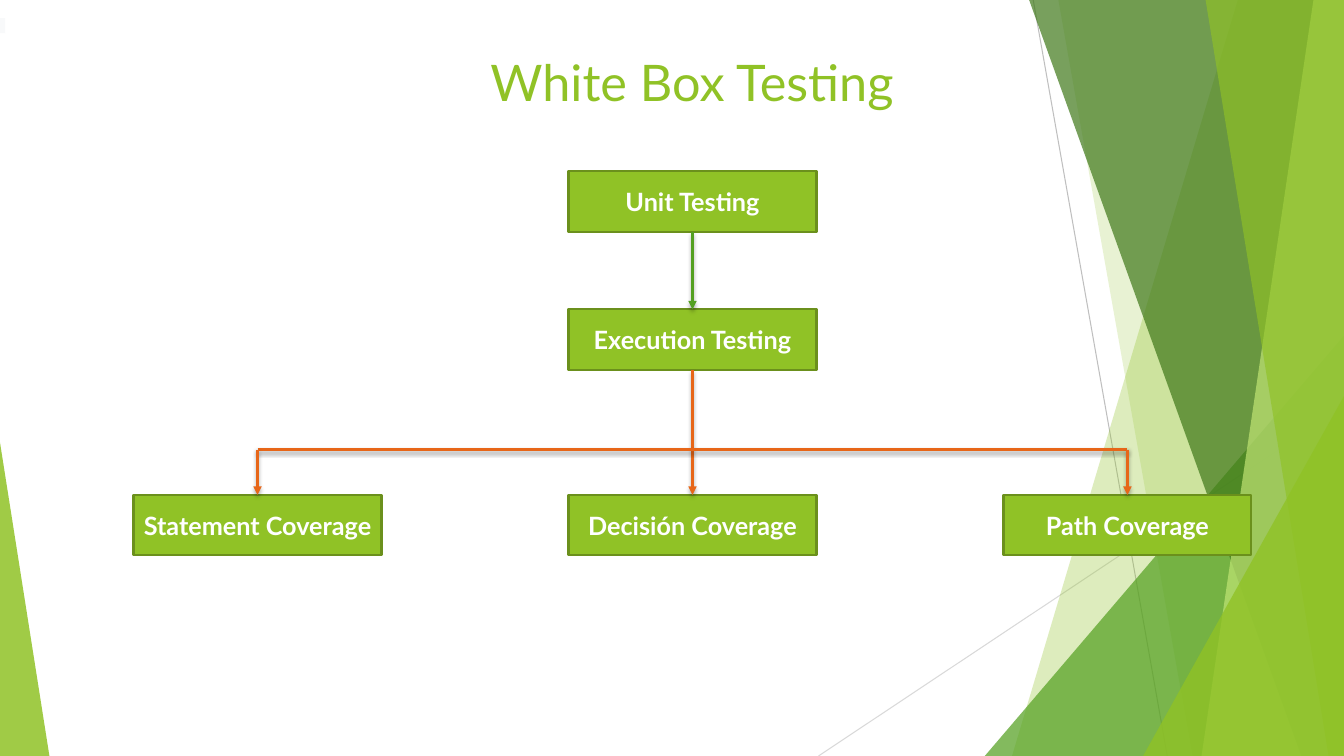
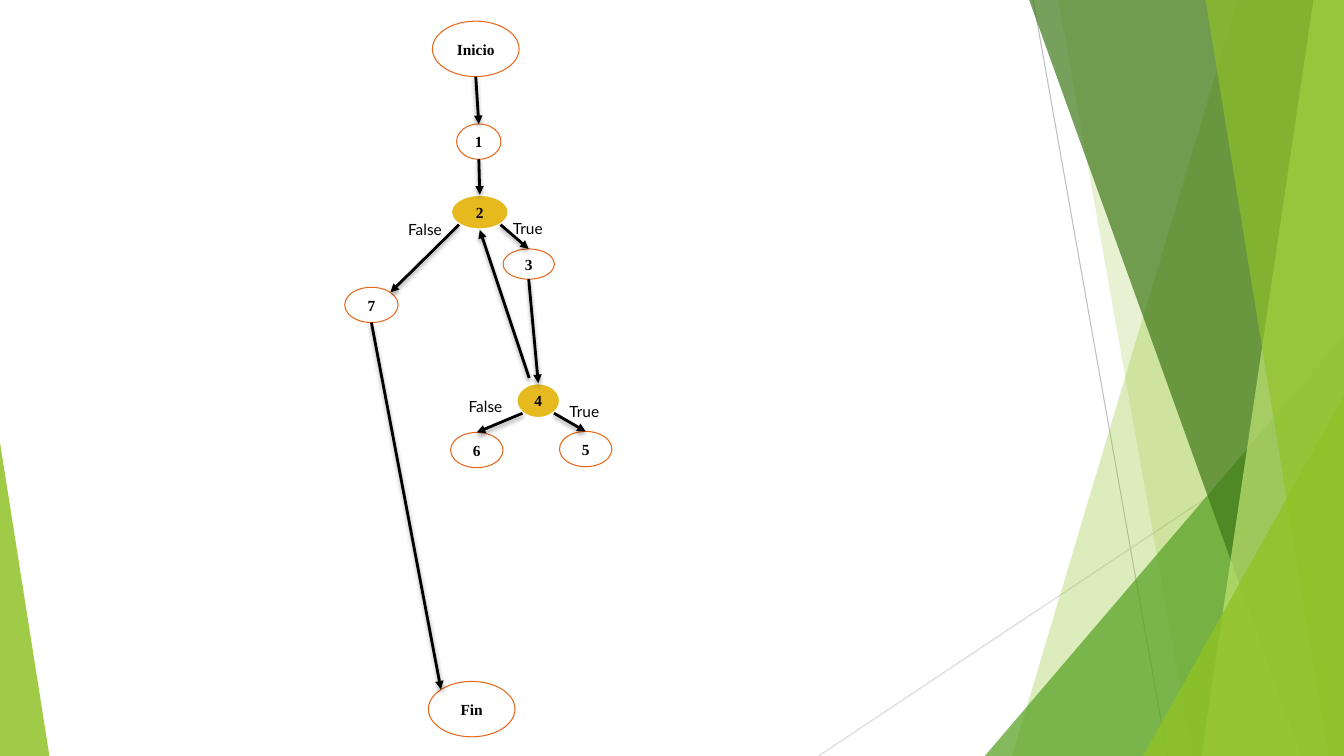
from lxml import etree
from pptx import Presentation
from pptx import util as u
from pptx.dml.color import RGBColor
from pptx.enum import shapes, text
from pptx.oxml import ns

CELL = u.Inches(0.1)
COLUMNS, ROWS = 133.33, 75
TITLE_ONLY, BLANK = 5, 6

LIME = RGBColor(0x90, 0xC2, 0x26)
PALE_LIME = RGBColor(0xC0, 0xE4, 0x74)
OLIVE = RGBColor(0x6B, 0x90, 0x1C)
GREEN = RGBColor(0x54, 0xA0, 0x21)
FOREST = RGBColor(0x3F, 0x78, 0x19)
ORANGE = RGBColor(0xE7, 0x66, 0x18)
GOLD = RGBColor(0xE6, 0xB9, 0x1E)
BLACK = RGBColor(0, 0, 0)
WHITE = RGBColor(0xFF, 0xFF, 0xFF)
NEAR_WHITE = RGBColor(0xF8, 0xF9, 0xFA)
GREY = RGBColor(0xBF, 0xBF, 0xBF)
LIGHT_GREY = RGBColor(0xD9, 0xD9, 0xD9)

SANS, SERIF = "Lato", "Times New Roman"
DIAGONAL = 0.71


def cells(*lengths):
    return [u.Emu(round(length * CELL)) for length in lengths]


def add_xml(parent, tag, **attributes):
    return etree.SubElement(parent, ns.qn(tag), attributes)


def rim(oval, across, down):
    left, top, width, height = oval
    reach = DIAGONAL if across and down else 1
    return (left + width / 2 * (1 + across * reach),
            top + height / 2 * (1 + down * reach))


class Painter:
    def __init__(self, deck):
        self.deck = deck
        self.page = None

    def new_page(self, layout):
        self.page = self.deck.slides.add_slide(self.deck.slide_layouts[layout])

    def add_words(self, shape, words, size, font, color, bold=False, align=None,
                  anchor=text.MSO_ANCHOR.TOP, wrap=True):
        frame = shape.text_frame
        frame.word_wrap = wrap
        frame.auto_size = text.MSO_AUTO_SIZE.NONE
        frame.vertical_anchor = anchor
        para = frame.paragraphs[0]
        para.alignment = align
        span = para.add_run()
        span.text = words
        span.font.size = u.Pt(size)
        span.font.name = font
        span.font.bold = bold
        span.font.color.rgb = color

    def paint(self, shape, fill=None, line=None, weight=0.75, opacity=100):
        shape.shadow.inherit = False
        if fill is None:
            shape.fill.background()
        else:
            shape.fill.solid()
            shape.fill.fore_color.rgb = fill
        if opacity < 100:
            tint = shape.element.spPr.find(ns.qn("a:solidFill"))[0]
            add_xml(tint, "a:alpha", val=str(opacity * 1000))
        if line is None:
            shape.line.fill.background()
        else:
            shape.line.color.rgb = line
            shape.line.width = u.Pt(weight)
        return shape

    def shape(self, preset, place, **style):
        box = self.page.shapes.add_shape(preset, *cells(*place))
        return self.paint(box, **style)

    def title(self, words, place):
        box = self.page.shapes.title
        box.left, box.top, box.width, box.height = cells(*place)
        self.add_words(box, words, 36, SANS, LIME, align=text.PP_ALIGN.CENTER)

    def process(self, words, center, top, width=24.6, height=6):
        box = self.shape(shapes.MSO_SHAPE.FLOWCHART_PROCESS,
                         (center - width / 2, top, width, height),
                         fill=LIME, line=OLIVE, weight=1.5)
        self.add_words(box, words, 18, SANS, WHITE, True, text.PP_ALIGN.CENTER,
                       text.MSO_ANCHOR.MIDDLE, False)

    def node(self, words, place, decision=False):
        style = (dict(fill=GOLD, line=WHITE, weight=2) if decision
                 else dict(line=ORANGE))
        oval = self.shape(shapes.MSO_SHAPE.FLOWCHART_CONNECTOR, place, **style)
        self.add_words(oval, words, 11, SERIF, BLACK, True, text.PP_ALIGN.CENTER,
                       text.MSO_ANCHOR.MIDDLE, False)

    def label(self, words, left, top):
        box = self.page.shapes.add_textbox(*cells(left, top, 7.5, 2.9))
        self.add_words(box, words, 11, SANS, BLACK)

    def line(self, start, end, color, weight=2, arrow=True, shadow=True):
        rule = self.page.shapes.add_connector(
            shapes.MSO_CONNECTOR.STRAIGHT, *cells(*start, *end))
        rule.line.color.rgb = color
        rule.line.width = u.Pt(weight)
        outline = rule.element.spPr
        if arrow:
            add_xml(outline.find(ns.qn("a:ln")), "a:tailEnd", type="triangle")
        effects = add_xml(outline, "a:effectLst")
        if shadow:
            cast = add_xml(effects, "a:outerShdw", blurRad=str(int(u.Pt(3))),
                           dist=str(int(u.Pt(2))), dir="5400000", rotWithShape="0")
            tint = add_xml(cast, "a:srgbClr", val=str(BLACK))
            add_xml(tint, "a:alpha", val="35000")
        return rule

    def band(self, top_left, bottom_left, color, opacity):
        start, *corners = [cells(*corner) for corner in (
            (top_left, 0), (COLUMNS, 0), (COLUMNS, ROWS), (bottom_left, ROWS))]
        outline = self.page.shapes.build_freeform(*start)
        outline.add_line_segments(corners, close=True)
        return self.paint(outline.convert_to_shape(), color, opacity=opacity)

    def corner(self, left, top, right, peak, color, opacity):
        wedge = self.shape(shapes.MSO_SHAPE.ISOSCELES_TRIANGLE,
                           (left, top, right - left, ROWS - top),
                           fill=color, opacity=opacity)
        wedge.adjustments[0] = peak
        return wedge

    def backdrop(self):
        parts = [
            self.line((102.5, 0), (115.8, ROWS), GREY, 0.75, False, False),
            self.line((COLUMNS, 40.3), (81.2, ROWS), LIGHT_GREY, 0.75, False, False),
            self.band(122.8, 100.4, LIME, 30),
            self.band(105, 118.3, LIME, 20),
            self.corner(97.7, 33.3, COLUMNS, 1, GREEN, 72),
            self.band(102.1, 129.1, FOREST, 70),
            self.band(130.3, 119.2, PALE_LIME, 70),
            self.band(119.6, 131.8, LIME, 65),
            self.corner(113.4, 39.3, COLUMNS, 1, LIME, 80),
            self.corner(0, 43.9, 4.9, 0, LIME, 85),
        ]
        tree = self.deck.slide_master.shapes.element
        for index, part in enumerate(parts):
            part.element.xpath(".//p:cNvPr")[0].set("id", str(100 + index))
            tree.insert(2 + index, part.element)


def draw_white_box(painter):
    painter.title("White Box Testing", (22.3, 4.6, 92.7, 9.6))
    middle, gap = 68.7, 43.15
    unit, execution, coverage, branch, height = 17, 30.7, 49.1, 44.6, 6
    centers = [middle + step * gap for step in (-1, 0, 1)]
    painter.process("Unit Testing", middle, unit)
    painter.process("Execution Testing", middle, execution)
    kinds = ("Statement Coverage", "Decisión Coverage", "Path Coverage")
    for kind, center in zip(kinds, centers):
        painter.process(kind, center, coverage)
    painter.line((middle, unit + height), (middle, execution), GREEN)
    painter.line((middle, execution + height), (middle, coverage), ORANGE)
    painter.line((centers[0], branch), (centers[-1], branch), ORANGE, arrow=False)
    for center in (centers[0], centers[-1]):
        painter.line((center, branch), (center, coverage), ORANGE)
    painter.shape(shapes.MSO_SHAPE.RECTANGLE, (0, 1.8, 0.5, 1.5), fill=NEAR_WHITE)


def draw_flow_graph(painter):
    nodes = {
        "Inicio": (42.9, 2.1, 8.6, 5.5),
        "1": (45.3, 12.3, 4.4, 3.5),
        "2": (44.7, 19.3, 5.8, 3.5),
        "3": (49.9, 24.7, 5.1, 3),
        "4": (51.2, 38, 4.4, 3.5),
        "5": (55.5, 42.8, 5.2, 3.5),
        "6": (44.7, 42.9, 5.2, 3.5),
        "7": (34.2, 28.5, 5.3, 3.5),
        "Fin": (42.5, 67.6, 8.6, 5.5),
    }
    for name, place in nodes.items():
        painter.node(name, place, decision=name in ("2", "4"))
    top, bottom = (0, -1), (0, 1)
    steps = [
        ("Inicio", bottom, "1", top),
        ("1", bottom, "2", top),
        ("2", (1, 1), "3", top),
        ("2", (-1, 1), "7", (1, -1)),
        ("3", bottom, "4", top),
        ("4", (1, 1), "5", top),
        ("4", (-1, 1), "6", top),
        ("7", bottom, "Fin", (-1, -1)),
    ]
    for source, leave, target, arrive in steps:
        painter.line(rim(nodes[source], *leave), rim(nodes[target], *arrive), BLACK)
    painter.line((52.5, 37.5), rim(nodes["2"], *bottom), BLACK)
    for words, left, row in (("False", 39.5, 21.3), ("True", 49.9, 21.2),
                             ("False", 45.5, 38.9), ("True", 55.5, 39.4)):
        painter.label(words, left, row)


def main():
    deck = Presentation()
    deck.slide_width, deck.slide_height = cells(COLUMNS, ROWS)
    painter = Painter(deck)
    painter.new_page(TITLE_ONLY)
    painter.backdrop()
    draw_white_box(painter)
    painter.new_page(BLANK)
    draw_flow_graph(painter)
    deck.save("out.pptx")


if __name__ == "__main__":
    main()
